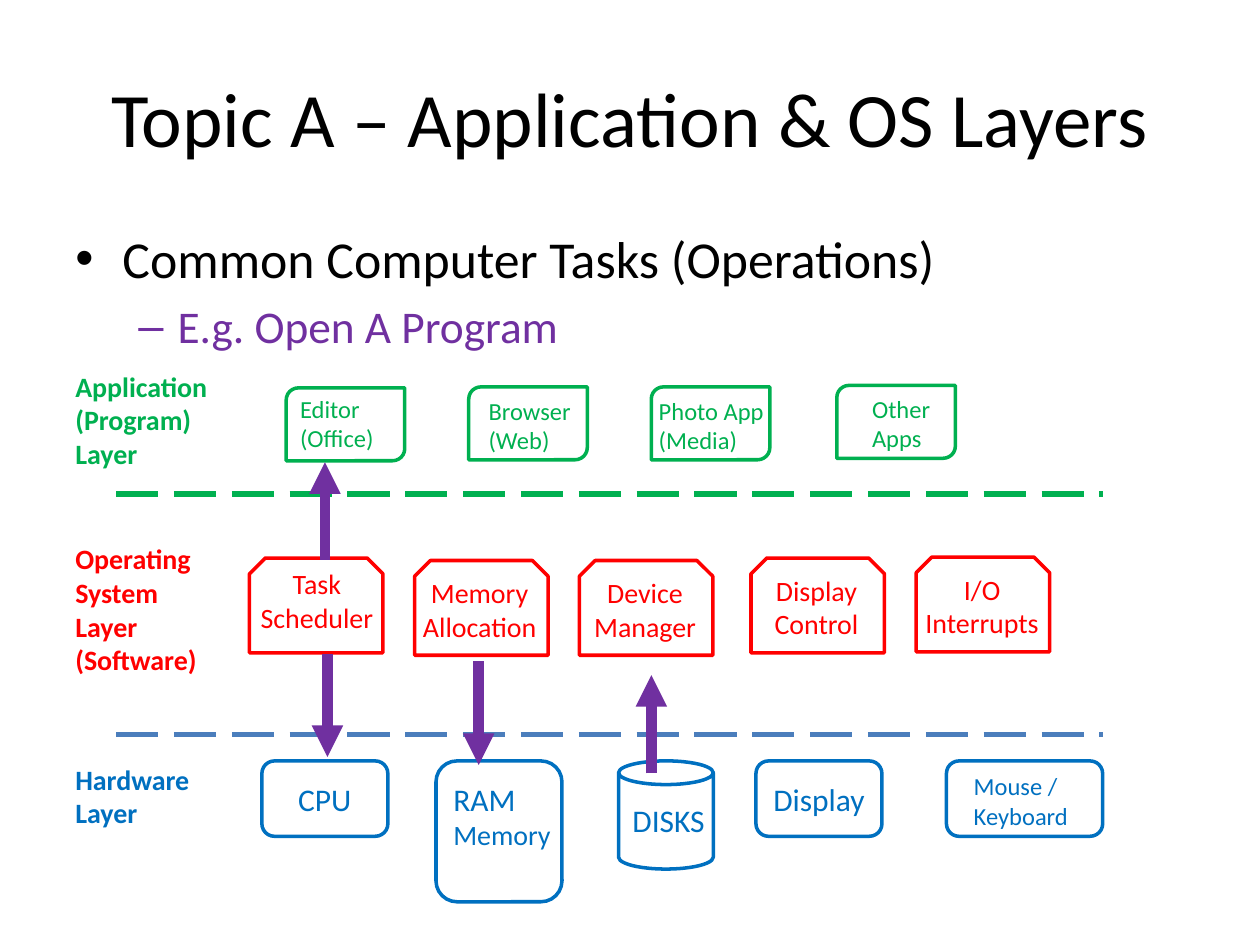
from typing import NamedTuple

from lxml.etree import SubElement
from pptx import Presentation
from pptx.dml.color import RGBColor
from pptx.enum.dml import MSO_LINE_DASH_STYLE as Dash
from pptx.enum.shapes import MSO_CONNECTOR as Connector, MSO_SHAPE as Shape
from pptx.enum.text import MSO_ANCHOR as Anchor, MSO_AUTO_SIZE as AutoSize, PP_ALIGN as Align
from pptx.oxml.ns import qn
from pptx.util import Cm, Pt

FONT = "Calibri"
BLACK, GREEN, RED, BLUE = "000000", "00B050", "FF0000", "0070C0"
PURPLE, DIVIDER_BLUE = "7030A0", "4B7EBC"


class Box(NamedTuple):
    left: float
    top: float
    width: float
    height: float

    def inner(self, left, top, width, height):
        return Box(self.left + left, self.top + top, width, height)

    def lengths(self):
        return [Cm(value) for value in self]


class Node(NamedTuple):
    place: tuple
    caption: tuple
    lines: list
    sizes: tuple
    shape: object


def paint(color_format, value):
    color_format.rgb = RGBColor.from_string(value)


def add_span(para, text, size, color, bold=False):
    span = para.add_run()
    span.text = text
    span.font.name = FONT
    span.font.size = Pt(size)
    span.font.bold = bold
    paint(span.font.color, color)


def add_caption(page, box, lines, sizes, color, bold=False, align=Align.LEFT):
    frame = page.shapes.add_textbox(*box.lengths()).text_frame
    frame.word_wrap = False
    frame.auto_size = AutoSize.SHAPE_TO_FIT_TEXT
    for index, line in enumerate(lines):
        para = frame.add_paragraph() if index else frame.paragraphs[0]
        para.alignment = align
        for part_index, part in enumerate(line.split("\n")):
            if part_index:
                para.add_line_break()
            add_span(para, part, sizes[min(index, len(sizes) - 1)], color, bold)


def add_line(page, start, end, color, width):
    points = [Cm(value) for value in (*start, *end)]
    connector = page.shapes.add_connector(Connector.STRAIGHT, *points)
    paint(connector.line.color, color)
    connector.line.width = Pt(width)
    SubElement(connector._element.spPr, qn("a:effectLst"))
    return connector


def draw_title(page, box):
    title = page.shapes.title
    title.left, title.top, title.width, title.height = box.lengths()
    title.text_frame.vertical_anchor = Anchor.MIDDLE
    para = title.text_frame.paragraphs[0]
    para.alignment = Align.CENTER
    add_span(para, "Topic A – Application & OS Layers", 44, BLACK)


def draw_bullets(page, box):
    frame = page.shapes.add_textbox(*box.lengths()).text_frame
    frame.word_wrap = True
    rows = [("Common Computer Tasks (Operations)", 29.6, BLACK, "•", 0.95, 0.95),
            ("E.g. Open A Program", 25.9, PURPLE, "–", 2.06, 0.79)]
    for index, (text, size, color, mark, margin, hang) in enumerate(rows):
        para = frame.add_paragraph() if index else frame.paragraphs[0]
        para.level = index
        para.space_before = Pt(size * 0.2)
        add_span(para, text, size, color)
        settings = para._p.get_or_add_pPr()
        settings.set("marL", str(Cm(margin)))
        settings.set("indent", str(-Cm(hang)))
        SubElement(settings, qn("a:buFont"), typeface="Arial")
        SubElement(settings, qn("a:buChar"), char=mark)


def draw_layer(page, box, label, label_size, color, nodes, align=Align.LEFT):
    add_caption(page, box.inner(0, 0, *label_size), label, (16,), color, bold=True)
    for node in nodes:
        node_box = box.inner(*node.place)
        outline = page.shapes.add_shape(node.shape, *node_box.lengths())
        outline.shadow.inherit = False
        outline.fill.background()
        paint(outline.line.color, color)
        outline.line.width = Pt(2)
        add_caption(page, node_box.inner(*node.caption), node.lines, node.sizes, color, align=align)


def draw_applications(page, box):
    rows = [(4.5, 0.5, (0.03, 0, 2.39), ["Editor", "(Office)"]),
            (8.18, 0.48, (0.15, 0.05, 2.39), ["Browser", "(Web)"]),
            (11.86, 0.48, (-0.1, 0.05, 2.72), ["Photo App", "(Media)"]),
            (15.6, 0.45, (0.46, 0.05, 1.7), ["Other\nApps"])]
    nodes = [Node((left, top, 2.39, 1.47), (*caption, 1.45), lines, (14,),
                  Shape.ROUND_2_DIAG_RECTANGLE) for left, top, caption, lines in rows]
    draw_layer(page, box, ["Application", "(Program)\nLayer"], (3.2, 2.31), GREEN, nodes)


def draw_system(page, box):
    rows = [(3.76, 0.45, (-0.05, 0.05, 2.82), ["Task", "Scheduler"]),
            (7.09, 0.5, (-0.1, 0.18, 2.82), ["Memory", "Allocation"]),
            (10.41, 0.5, (0.03, 0.18, 2.59), ["Device", "Manager"]),
            (13.87, 0.45, (0.2, 0.18, 2.24), ["Display\nControl"]),
            (17.2, 0.43, (-0.08, 0.18, 2.82), ["I/O\nInterrupts"])]
    nodes = [Node((left, top, 2.69, 1.91), (*caption, 1.63), lines, (16,),
                  Shape.SNIP_2_SAME_RECTANGLE) for left, top, caption, lines in rows]
    label = ["Operating", "System\nLayer", "(Software)"]
    draw_layer(page, box, label, (3, 3), RED, nodes, Align.CENTER)


def draw_hardware(page, box):
    rounded = Shape.ROUNDED_RECTANGLE
    rows = [(4.01, 2.54, 1.52, (0.48, 0.25, 1.6, 1.02), ["CPU"], (18,), rounded),
            (7.52, 2.54, 2.84, (0.1, 0.25, 2.49, 1.7), ["RAM", "Memory"], (18, 16), rounded),
            (13.97, 2.54, 1.52, (0.1, 0.25, 2.39, 1.02), ["Display"], (18,), rounded),
            (17.81, 3.15, 1.52, (0.3, 0.08, 2.44, 1.45), ["Mouse /", "Keyboard"], (14,), rounded),
            (11.2, 1.91, 2.18, (0.03, 0.69, 1.98, 1.02), ["DISKS"], (18,), Shape.CAN)]
    nodes = [Node((left, 0.1, width, height), *rest) for left, width, height, *rest in rows]
    draw_layer(page, box, ["Hardware\nLayer"], (2.84, 1.63), BLUE, nodes)


def draw_dividers(page, box):
    for top, color in ((box.top + box.height, DIVIDER_BLUE), (box.top, GREEN)):
        divider = add_line(page, (box.left, top), (box.left + box.width, top), color, 3)
        divider.line.dash_style = Dash.LONG_DASH


def draw_arrows(page, box):
    for left, start, end in ((6.58, 6.27, 4.29), (0, 1.96, 0),
                             (3.1, 4.01, 6.1), (0.05, 3.86, 5.94)):
        arrow = add_line(page, (box.left + left, box.top + start),
                         (box.left + left, box.top + end), PURPLE, 6)
        SubElement(arrow.line._get_or_add_ln(), qn("a:tailEnd"), type="triangle")


def main():
    deck = Presentation()
    deck.slide_width, deck.slide_height = Cm(25.4), Cm(19.05)
    page = deck.slides.add_slide(deck.slide_layouts[5])
    draw_title(page, Box(1.27, 0.76, 22.86, 3.18))
    draw_bullets(page, Box(1.27, 4.45, 22.86, 2.46))
    draw_dividers(page, Box(2.34, 9.96, 19.89, 4.85))
    draw_hardware(page, Box(1.27, 15.24, 20.96, 3))
    draw_applications(page, Box(1.27, 7.32, 20.96, 2.31))
    draw_system(page, Box(1.27, 10.8, 20.96, 3))
    draw_arrows(page, Box(6.55, 9.32, 6.58, 6.27))
    deck.save("out.pptx")


if __name__ == "__main__":
    main()
